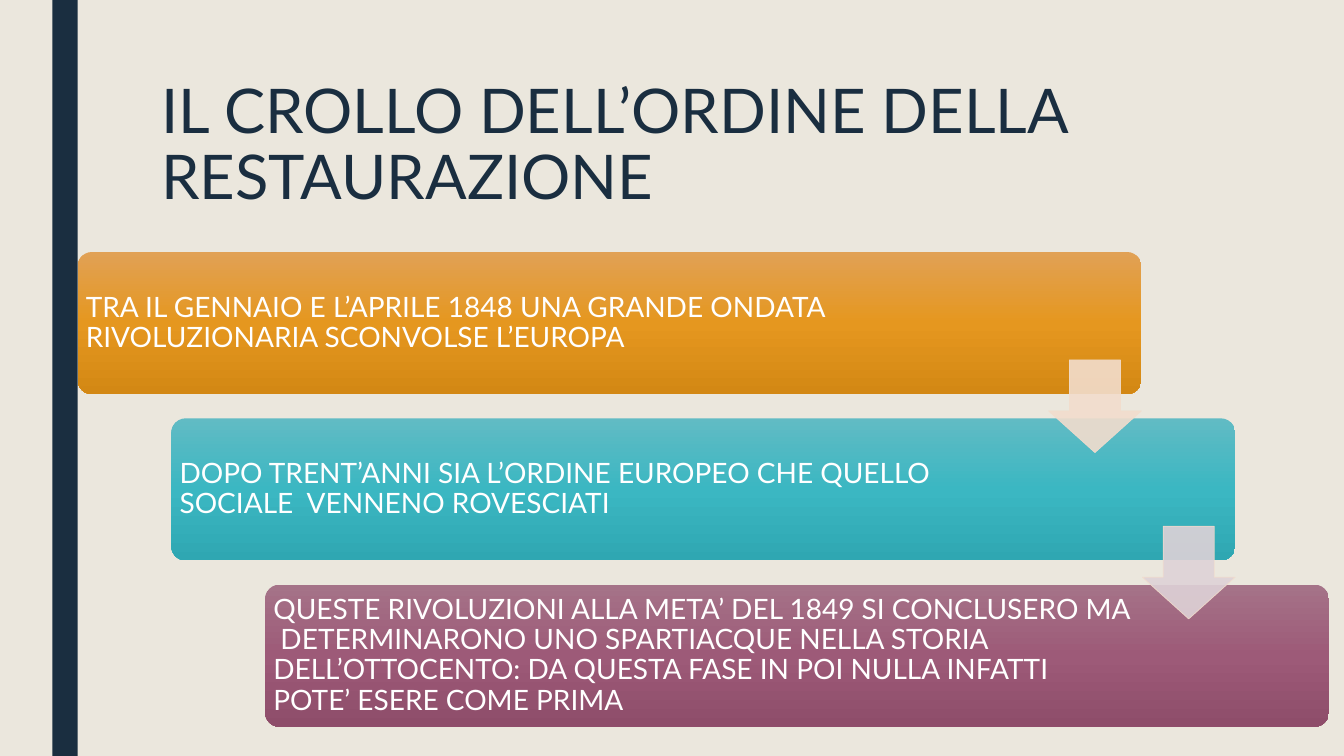
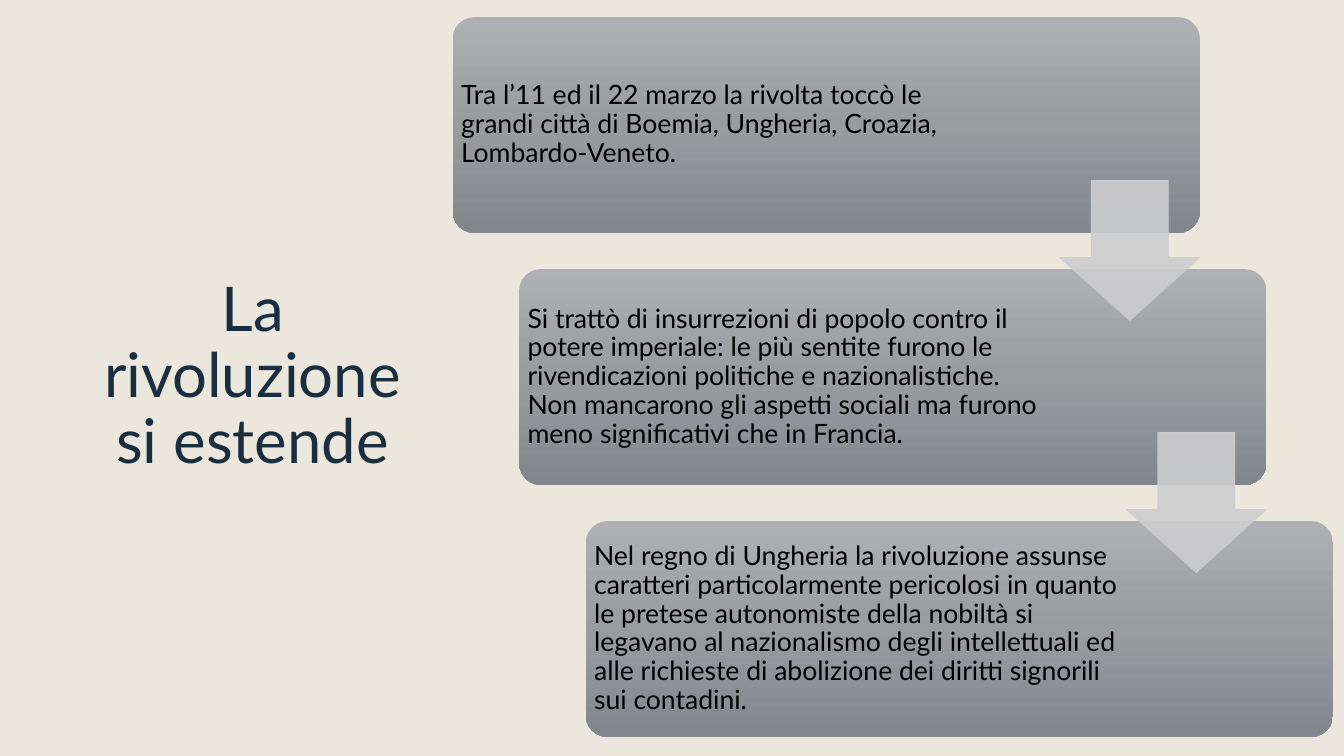
import copy

import pptx
import pptx.dml.color
import pptx.enum.shapes
import pptx.enum.text
import pptx.oxml.ns
import pptx.util
from lxml import etree

COLORS = {
    "paper": "EBE7DD",
    "navy": "1A2E40",
    "white": "FFFFFF",
    "black": "000000",
    "peach": "F2DDCD",
    "mauve": "DED2D7",
    "silver": "CDCDCF",
}
GRADIENTS = {
    "orange": ("E1A155", "E5971F", "D38814"),
    "teal": ("61BBC4", "3BB7C2", "2FA7B2"),
    "plum": ("A57388", "9D5A78", "8E4D6A"),
    "grey": ("AFB0B3", "999B9E", "83878C"),
}
FONT = "Lato"
SHAPES = pptx.enum.shapes.MSO_SHAPE
ALIGN = pptx.enum.text.PP_ALIGN
ANCHOR = pptx.enum.text.MSO_ANCHOR


def px(length):
    """Turn px, 100 to the inch, into EMU."""
    return pptx.util.Emu(round(length * 9144))


def rgb(value):
    """Turn a hex string into a colour."""
    return pptx.dml.color.RGBColor.from_string(value)


def write(frame, text, size, color, align=ALIGN.LEFT, anchor=ANCHOR.MIDDLE, spacing=0.9):
    """Put one formatted paragraph into a text frame."""
    frame.word_wrap = True
    frame.auto_size = pptx.enum.text.MSO_AUTO_SIZE.NONE
    frame.vertical_anchor = anchor
    para = frame.paragraphs[0]
    para.alignment = align
    para.line_spacing = spacing
    span = para.add_run()
    span.text = text
    span.font.name = FONT
    span.font.size = pptx.util.Pt(size)
    span.font.color.rgb = rgb(COLORS[color])


class Deck:
    """Holds the presentation, its style and the current slide."""

    def __init__(self):
        """Set up the slide size and the shared background."""
        self.deck = pptx.Presentation()
        self.deck.slide_width = px(1333)
        self.deck.slide_height = px(750)
        fill = self.deck.slide_master.background.fill
        fill.solid()
        fill.fore_color.rgb = rgb(COLORS["paper"])
        self.page = None

    def new_page(self, title, left, top, width, height, **style):
        """Start a slide with a placed title."""
        self.page = self.deck.slides.add_slide(self.deck.slide_layouts[5])
        box = self.page.shapes.title
        box.left, box.top, box.width, box.height = map(px, (left, top, width, height))
        write(box.text_frame, title, size=44, color="navy", spacing=0.89, **style)

    def shape(self, kind, left, top, width, height):
        """Add a preset shape without line or shadow."""
        shape = self.page.shapes.add_shape(kind, *map(px, (left, top, width, height)))
        shape.shadow.inherit = False
        shape.line.fill.background()
        return shape

    def band(self):
        """Add the dark vertical band."""
        band = self.shape(SHAPES.RECTANGLE, 52, 0, 25, 750)
        band.fill.solid()
        band.fill.fore_color.rgb = rgb(COLORS["navy"])

    def gradient(self, shape, name):
        """Fill a shape with three evenly spaced stops, top to bottom."""
        shape.fill.gradient()
        shape.fill.gradient_angle = 270
        stops = shape._element.spPr.find(".//" + pptx.oxml.ns.qn("a:gsLst"))
        stops.append(copy.deepcopy(stops[-1]))
        for index, (stop, color) in enumerate(zip(shape.fill.gradient_stops, GRADIENTS[name])):
            stop.position = index / 2
            stop.color.rgb = rgb(color)

    def step(self, text, left, top, width, height, text_width, gradient, size, color):
        """Add a rounded box whose text keeps clear of the arrows."""
        box = self.shape(SHAPES.ROUNDED_RECTANGLE, left, top, width, height)
        box.adjustments[0] = 0.1
        self.gradient(box, gradient)
        frame = box.text_frame
        inset = 8 - round(height * 0.1 * 0.29)
        frame.margin_left = frame.margin_top = frame.margin_bottom = px(inset)
        frame.margin_right = px(width - text_width + inset)
        write(frame, text, size=size, color=color)

    def arrow(self, left, top, side, fill, line):
        """Add a translucent down arrow."""
        arrow = self.shape(SHAPES.DOWN_ARROW, left, top, side, side)
        arrow.adjustments[0], arrow.adjustments[1] = 0.55, 0.45
        arrow.fill.solid()
        arrow.fill.fore_color.rgb = rgb(COLORS[fill])
        arrow.line.color.rgb = rgb(COLORS[line])
        arrow.line.width = pptx.util.Pt(0.5)
        for color in arrow._element.spPr.iter(pptx.oxml.ns.qn("a:srgbClr")):
            etree.SubElement(color, pptx.oxml.ns.qn("a:alpha"), val="90000")

    def staircase(self, steps, left, top, width, height, shift, pitch, arrows, line, size, color):
        """Add descending steps joined by arrows centred on the gaps."""
        for index, (text, text_width, gradient) in enumerate(steps):
            self.step(text, left + index * shift, top + index * pitch, width, height,
                      text_width, gradient, size, color)
        side = round(height * 0.65)
        for index, fill in enumerate(arrows):
            self.arrow(left + index * shift + width - side,
                       top + index * pitch + (height + pitch - side) // 2, side, fill, line)

    def save(self):
        """Save the presentation."""
        self.deck.save("out.pptx")


def main():
    """Build both slides."""
    deck = Deck()

    deck.new_page("IL CROLLO DELL’ORDINE DELLA RESTAURAZIONE", 150, 75, 1050, 162,
                  anchor=ANCHOR.TOP)
    deck.band()
    deck.staircase(
        [
            ("TRA IL GENNAIO E L’APRILE 1848 UNA GRANDE ONDATA RIVOLUZIONARIA "
             "SCONVOLSE L’EUROPA", 911, "orange"),
            ("DOPO TRENT’ANNI SIA L’ORDINE EUROPEO CHE QUELLO SOCIALE  VENNENO "
             "ROVESCIATI", 870, "teal"),
            ("QUESTE RIVOLUZIONI ALLA META’ DEL 1849 SI CONCLUSERO MA  DETERMINARONO "
             "UNO SPARTIACQUE NELLA STORIA DELL’OTTOCENTO: DA QUESTA FASE IN POI NULLA "
             "INFATTI  POTE’ ESERE COME PRIMA", 870, "plum"),
        ],
        left=77, top=250, width=1055, height=141, shift=93, pitch=165,
        arrows=("peach", "mauve"), line="peach", size=20, color="white")

    deck.new_page("La rivoluzione si estende", 70, 70, 361, 610, align=ALIGN.CENTER)
    deck.staircase(
        [
            ("Tra l’11 ed il 22 marzo la rivolta toccò le grandi città di Boemia, "
             "Ungheria, Croazia, Lombardo-Veneto.", 523, "grey"),
            ("Si trattò di insurrezioni di popolo contro il potere imperiale: le più "
             "sentite furono le rivendicazioni politiche e nazionalistiche. Non mancarono "
             "gli aspetti sociali ma furono meno significativi che in Francia.", 537, "grey"),
            ("Nel regno di Ungheria la rivoluzione assunse caratteri particolarmente "
             "pericolosi in quanto le pretese autonomiste della nobiltà si legavano al "
             "nazionalismo degli intellettuali ed alle richieste di abolizione dei diritti "
             "signorili sui contadini.", 537, "grey"),
        ],
        left=449, top=17, width=741, height=214, shift=66, pitch=250,
        arrows=("silver", "silver"), line="silver", size=19, color="black")

    deck.save()


if __name__ == "__main__":
    main()
